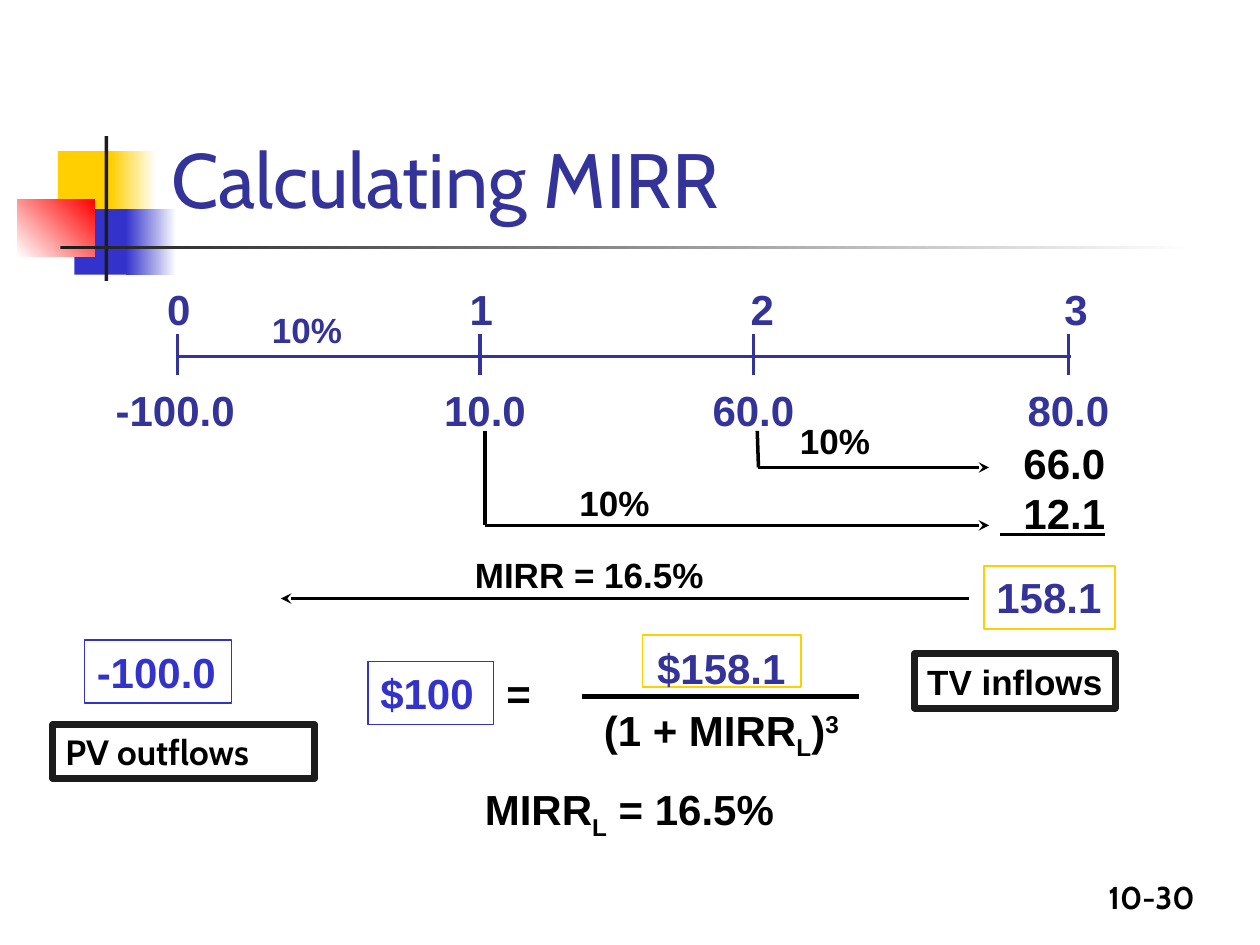
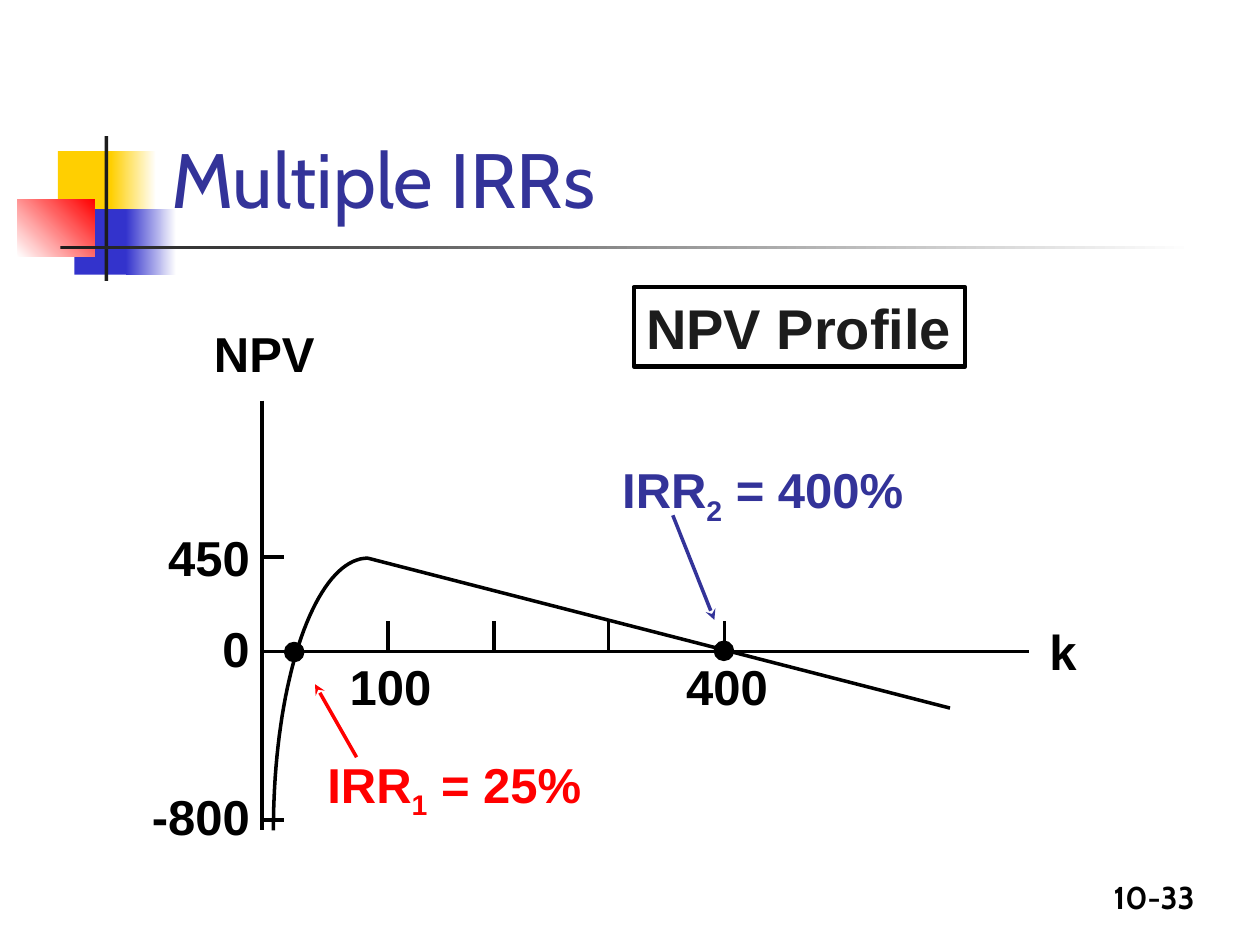
import math
from dataclasses import dataclass
from typing import Any

from lxml import etree
from pptx import Presentation, util as u
from pptx.dml import color
from pptx.enum import shapes as kinds, text as t
from pptx.oxml import ns

NAVY, BLUE, GOLD = "333399", "3333CC", "FFCF01"
DARK, BLACK, WHITE, RED = "1C1C1C", "000000", "FFFFFF", "FF0000"
LEFT, MID, RIGHT = t.PP_ALIGN.LEFT, t.PP_ALIGN.CENTER, t.PP_ALIGN.RIGHT
RECT, OVAL = kinds.MSO_SHAPE.RECTANGLE, kinds.MSO_SHAPE.OVAL
SUB, SUPER = -25000, 30000


def rgb(code):
    return color.RGBColor.from_string(code)


def stroke(shape, code, width):
    shape.line.color.rgb = rgb(code)
    shape.line.width = u.Pt(width)


def write(shape, paras, size=24, ink=BLACK, font="Arial", bold=True,
          align=LEFT, wrap=True, anchor=t.MSO_ANCHOR.TOP, pitch=None):
    """Fill a shape with paragraphs, each a list of (text, format) runs."""
    frame = shape.text_frame
    frame.word_wrap = wrap
    frame.vertical_anchor = anchor
    if isinstance(paras, str):
        paras = [[(paras, {})]]
    for i, runs in enumerate(paras):
        para = frame.add_paragraph() if i else frame.paragraphs[0]
        para.alignment = align
        if pitch:
            para.line_spacing = pitch
        for words, form in runs:
            run = para.add_run()
            run.text = words
            run.font.name, run.font.size = font, u.Pt(size)
            run.font.bold = bold
            run.font.color.rgb = rgb(form.get("ink", ink))
            if "base" in form:
                run.font._element.set("baseline", str(form["base"]))


@dataclass
class Pane:
    """A region of a slide; its parts are placed from its top left corner."""
    slide: Any
    left: float = 0
    top: float = 0

    def spot(self, x, y):
        return u.Inches(self.left + x), u.Inches(self.top + y)

    def text(self, paras, x, y, w, h, **look):
        box = self.slide.shapes.add_textbox(
            *self.spot(x, y), u.Inches(w), u.Inches(h))
        write(box, paras, **look)

    def shape(self, x, y, w, h, fill=None, edge=None, width=1, kind=RECT):
        item = self.slide.shapes.add_shape(
            kind, *self.spot(x, y), u.Inches(w), u.Inches(h))
        item.shadow.inherit = False
        if fill:
            item.fill.solid()
            item.fill.fore_color.rgb = rgb(fill)
        else:
            item.fill.background()
        if edge:
            stroke(item, edge, width)
        else:
            item.line.fill.background()
        return item

    def fade(self, x, y, w, h, start, end, angle=0):
        fill = self.shape(x, y, w, h).fill
        fill.gradient()
        fill.gradient_angle = angle
        for stop, code in zip(fill.gradient_stops, (start, end)):
            stop.color.rgb = rgb(code)

    def line(self, x1, y1, x2, y2, ink=BLACK, width=2, arrow=False):
        item = self.slide.shapes.add_connector(
            kinds.MSO_CONNECTOR.STRAIGHT, *self.spot(x1, y1), *self.spot(x2, y2))
        stroke(item, ink, width)
        if arrow:
            etree.SubElement(item.line._get_or_add_ln(), ns.qn("a:tailEnd"),
                             type="stealth")
        etree.SubElement(item._element.spPr, ns.qn("a:effectLst"))

    def curve(self, points):
        scaled = [self.spot(x, y) for x, y in points]
        path = self.slide.shapes.build_freeform(*scaled[0])
        path.add_line_segments(scaled[1:], close=False)
        item = path.convert_to_shape()
        item.shadow.inherit = False
        item.fill.background()
        stroke(item, BLACK, 2)


def base(deck, title, page):
    """Add a slide with the shared ornament, title and page number."""
    slide = deck.slides.add_slide(deck.slide_layouts[6])
    mark = Pane(slide, 0.14, 1.08)
    mark.shape(0.32, 0.12, 0.48, 0.52, GOLD)
    mark.fade(0.74, 0.12, 0.36, 0.52, GOLD, WHITE)
    mark.shape(0.45, 0.58, 0.46, 0.52, BLUE)
    mark.fade(0.86, 0.58, 0.4, 0.52, BLUE, WHITE)
    mark.fade(0, 0.5, 0.61, 0.46, WHITE, RED, 45)
    mark.shape(0.69, 0, 0.03, 1.15, DARK)
    mark.fade(0.34, 0.87, 9, 0.03, DARK, WHITE)
    page_box = Pane(slide)
    page_box.text(page, 7.5, 6.92, 2.08, 0.44, size=18, font="Cabin", align=RIGHT)
    page_box.text(title, 1.26, 0.23, 8.52, 1.6, size=44, ink=NAVY, font="Cabin",
                  bold=False, anchor=t.MSO_ANCHOR.BOTTOM)
    return slide


def timeline(pane):
    years = zip((0.61, 3.01, 5.18, 7.68), (0.62, 3.02, 5.25, 7.74),
                (0.59, 3.05, 5.18, 7.68), ("-100.0", "10.0", "60.0", "80.0"))
    pane.line(0.62, 0.63, 7.7, 0.63, NAVY)
    for year, (tick, head, foot, cash) in enumerate(years):
        pane.line(tick, 0.45, tick, 0.78, NAVY)
        for words, mid, y in ((str(year), head, 0), (cash, foot, 0.8)):
            pane.text(words, mid - 0.7, y, 1.4, 0.5, ink=NAVY, align=MID)
    pane.text("10%", 1.26, 0.2, 0.76, 0.43, size=20, ink=NAVY, wrap=False)


def growth(pane):
    """Carry the inflows of years 1 and 2 forward to year 3."""
    for x, turn, y in ((0.05, 0.05, 0.89), (2.21, 2.22, 0.43)):
        pane.line(x, 0.14, turn, y)
        pane.line(turn, y, 4.05, y, arrow=True)
    for x, y in ((2.45, 0), (0.7, 0.49)):
        pane.text("10%", x, y, 0.76, 0.43, size=20, wrap=False)
    pane.text([[("66.0", {})], [("12.1", {})]], 4.03, 0.14, 1.04, 0.9, align=RIGHT)
    pane.line(4.14, 0.96, 4.97, 0.96, width=1.5)


def worth(pane):
    """Show the terminal value, the present value and the rate between them."""
    pane.text("MIRR = 16.5%", 3.25, 0, 2.38, 0.43, size=20)
    pane.line(7.27, 0.41, 1.81, 0.41, arrow=True)
    final = pane.shape(7.39, 0.15, 1.04, 0.5, WHITE, GOLD)
    write(final, "158.1", ink=NAVY, wrap=False)
    inflow = pane.shape(6.84, 0.85, 1.59, 0.43, WHITE, DARK, 4)
    write(inflow, "TV inflows", size=20, wrap=False)
    cost = pane.shape(0.25, 0.74, 1.17, 0.5, None, BLUE, 0.75)
    write(cost, "-100.0", ink=BLUE)
    outflow = pane.shape(0, 1.41, 2.08, 0.43, WHITE, DARK, 4)
    write(outflow, "PV outflows", size=20, font="Cabin")


def formula(pane):
    write(pane.shape(0, 0.28, 1, 0.5, None, BLUE, 0.75), "$100", ink=BLUE)
    pane.text("=", 1, 0.28, 0.42, 0.5)
    pane.shape(2.18, 0.07, 1.26, 0.41, WHITE, GOLD)
    pane.line(1.7, 0.56, 3.9, 0.56, width=3)
    low = ("L", {"base": SUB})
    pane.text([[("$158.1", {"ink": NAVY})],
               [("(1 + MIRR", {}), low, (")", {}), ("3", {"base": SUPER})]],
              1.77, 0, 2.07, 1.13, align=MID, wrap=False, pitch=1.2)
    pane.text([[("MIRR", {}), low, (" = 16.5%", {})]], 0.83, 1.2, 2.93, 0.56)


def axes(pane):
    pane.line(1.08, 0.9, 1.08, 4.31)
    pane.line(1.09, 2.89, 7.17, 2.89)
    for y in (2.14, 4.23):
        pane.line(1.09, y, 1.25, y)
    for x in (2.08, 2.92, 3.83, 4.75):
        pane.line(x, 2.65, x, 2.89)
    for words, y in (("450", 1.86), ("0", 2.58), ("-800", 3.91)):
        pane.text(words, 0, y, 1.08, 0.57, size=28, align=RIGHT)
    for words, mid in (("100", 2.1), ("400", 4.77)):
        pane.text(words, mid - 0.6, 2.88, 1.2, 0.57, size=28, align=MID)
    pane.text("k", 7.23, 2.6, 0.42, 0.57, size=28, wrap=False)
    pane.text("NPV", 0.6, 0.24, 1, 0.57, size=28, wrap=False)


def profile(pane):
    """Draw the NPV curve with its two roots."""
    name = pane.shape(4.03, 0, 2.63, 0.63, WHITE, BLACK, 2.5)
    write(name, "NPV Profile", size=32, ink=DARK, wrap=False)
    steps = 40
    angles = [math.pi / 2 * i / steps for i in range(steps + 1)]
    pane.curve([(1.92 - 0.75 * math.cos(a), 4.31 - 2.16 * math.sin(a))
                for a in angles])
    pane.line(1.92, 2.15, 6.54, 3.34)
    for x, y in ((1.26, 2.82), (4.67, 2.81)):
        pane.shape(x, y, 0.15, 0.15, BLACK, BLACK, kind=OVAL)
    roots = (("2", " = 400%", NAVY, (3.84, 1.32, 2.43, 0.63), (4.34, 1.81, 4.67, 2.64)),
             ("1", " = 25%", RED, (1.5, 3.66, 2.22, 0.63), (1.83, 3.73, 1.5, 3.15)))
    for index, rate, ink, place, ends in roots:
        pane.text([[("IRR", {}), (index, {"base": SUB}), (rate, {})]], *place,
                  size=28, ink=ink, wrap=False)
        pane.line(*ends, ink=ink, arrow=True)


def main():
    deck = Presentation()
    deck.slide_width, deck.slide_height = u.Inches(10), u.Inches(7.5)
    mirr = base(deck, "Calculating MIRR", "10-30")
    growth(Pane(mirr, 3.8, 3.28))
    timeline(Pane(mirr, 0.8, 2.2))
    worth(Pane(mirr, 0.42, 4.34))
    formula(Pane(mirr, 2.92, 4.97))
    graph = Pane(base(deck, "Multiple IRRs", "10-33"), 1, 2.28)
    axes(graph)
    profile(graph)
    deck.save("out.pptx")


if __name__ == "__main__":
    main()
